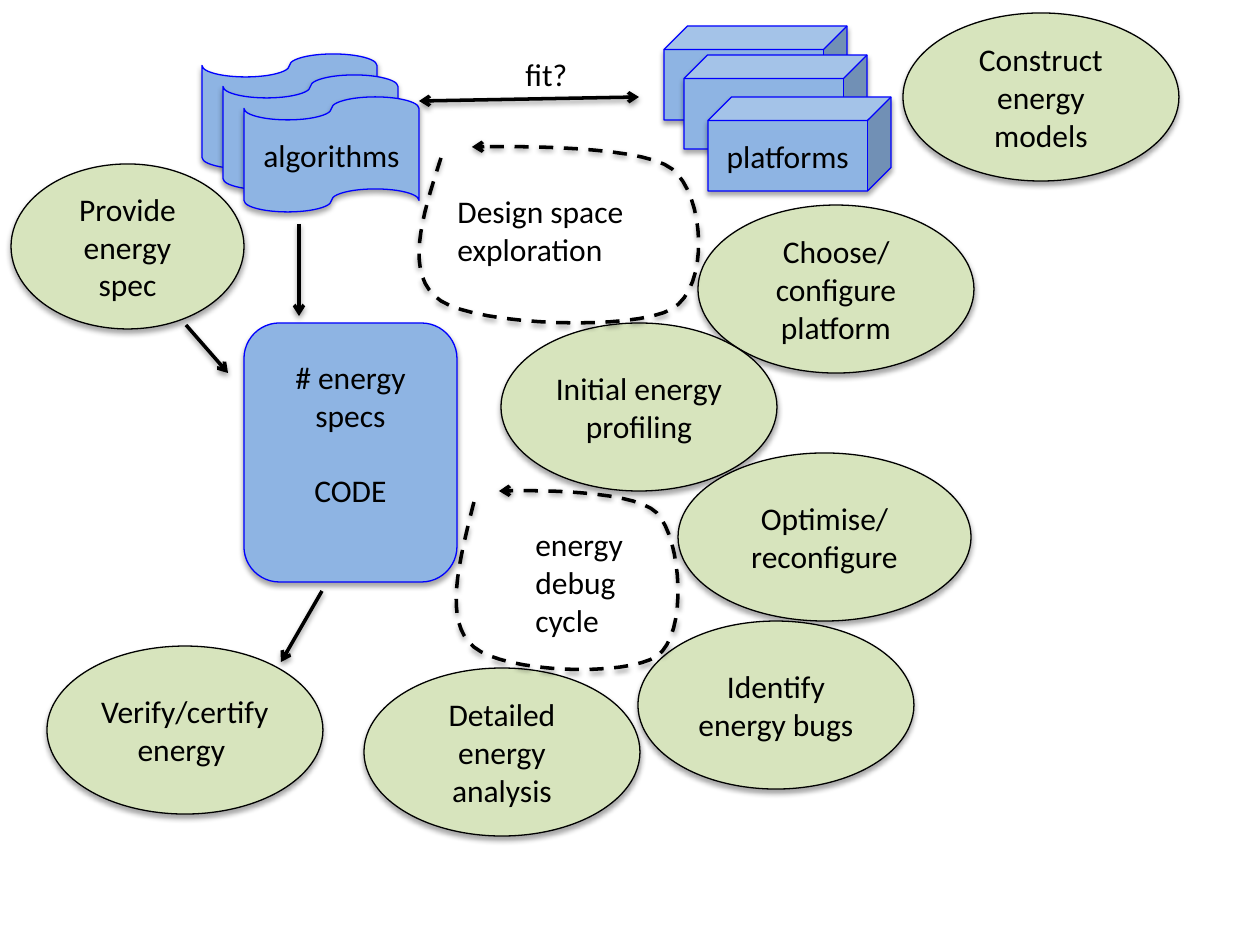
"""Build the energy-aware design flow diagram as one slide."""
from lxml import etree
from pptx import Presentation, util as u
from pptx.dml.color import RGBColor
from pptx.enum import dml, shapes, text
from pptx.oxml.ns import qn

COLORS = {"blue": "8EB4E3", "edge": "0000FF", "green": "D7E4BD", "ink": "000000"}
KIND = shapes.MSO_SHAPE
LINE_HEIGHT = 38
STACKS = [
    ("algorithms", KIND.WAVE, KIND.FLOWCHART_PUNCHED_TAPE, (175, 115), [(202, 54), (223, 75), (244, 97)]),
    ("platforms", KIND.CUBE, KIND.CUBE, (183, 94), [(664, 26), (684, 55), (708, 97)]),
]
STACKS = [(name, outline, size, spots) for name, _, outline, size, spots in STACKS]
CODE = (["# energy specs", "CODE"], (244, 323, 213, 259))
ACTIVITIES = [
    (["Construct energy models"], (903, 13, 276, 168)),
    (["Choose/configure platform"], (698, 205, 276, 168)),
    (["Provide energy spec"], (11, 164, 233, 165)),
    (["Initial energy profiling"], (501, 323, 276, 168)),
    (["Detailed energy analysis"], (364, 668, 276, 168)),
    (["Optimise/reconfigure"], (678, 453, 293, 168)),
    (["Verify/certify", "energy "], (47, 646, 276, 168)),
    (["Identify energy bugs"], (638, 621, 276, 168)),
]
ARROWS = [
    ((419, 101), (639, 97), True),
    ((299, 224), (299, 316), False),
    ((186, 325), (228, 373), False),
    ((322, 591), (281, 662), False),
]
LOOPS = [
    [(441, 158), (422, 217), (403, 276), (441, 301), (480, 326), (634, 331), (672, 309),
     (710, 287), (705, 195), (672, 169), (639, 142), (472, 147), (472, 147)],
    [(474, 502), (459, 562), (443, 622), (474, 647), (505, 673), (626, 677), (657, 656),
     (688, 634), (682, 540), (657, 513), (631, 486), (499, 491), (499, 491)],
]
LABELS = [
    (["fit?"], (513, 49, 68, 50)),
    (["Design space", "exploration"], (445, 186, 193, 89)),
    (["energy", "debug", "cycle"], (523, 519, 115, 127)),
]


def px(length):
    return u.Emu(round(length * 914400 / 126))


def write(frame, lines, align=text.PP_ALIGN.CENTER, wrap=True, anchor=text.MSO_ANCHOR.MIDDLE, gap=0):
    frame.word_wrap = wrap
    frame.vertical_anchor = anchor
    for index, line in enumerate(lines):
        paragraph = frame.paragraphs[0] if index == 0 else frame.add_paragraph()
        paragraph.alignment = align
        if index and gap:
            paragraph.space_before = px(gap)
        run = paragraph.add_run()
        run.text = line
        run.font.name, run.font.size = "Calibri", u.Pt(18)
        run.font.color.rgb = RGBColor.from_string(COLORS["ink"])


def cast_shadow(part, alpha, distance):
    properties = part._element.spPr
    for old in properties.findall(qn("a:effectLst")):
        properties.remove(old)
    effects = etree.SubElement(properties, qn("a:effectLst"))
    shadow = etree.SubElement(effects, qn("a:outerShdw"), blurRad=str(u.Pt(3.1)),
                              dist=str(u.Pt(distance)), dir="5400000", rotWithShape="0")
    color = etree.SubElement(shadow, qn("a:srgbClr"), val=COLORS["ink"])
    etree.SubElement(color, qn("a:alpha"), val=str(alpha * 1000))


def add_block(parent, outline, box, fill, edge):
    block = parent.add_shape(outline, *map(px, box))
    block.fill.solid()
    block.fill.fore_color.rgb = RGBColor.from_string(COLORS[fill])
    block.line.color.rgb = RGBColor.from_string(COLORS[edge])
    block.line.width = u.Pt(0.75)
    cast_shadow(block, 35, 1.8)
    return block


def style_arrow(arrow, both=False, dashed=False):
    arrow.line.color.rgb = RGBColor.from_string(COLORS["ink"])
    arrow.line.width = u.Pt(2)
    if dashed:
        arrow.line.dash_style = dml.MSO_LINE.DASH
    stroke = arrow._element.spPr.find(qn("a:ln"))
    for end in ["a:headEnd", "a:tailEnd"] if both else ["a:tailEnd"]:
        etree.SubElement(stroke, qn(end), type="arrow")
    cast_shadow(arrow, 38, 1.6)


def curve_points(controls, steps=16):
    for start in range(0, len(controls) - 1, 3):
        corners = controls[start:start + 4]
        for step in range(1, steps + 1):
            t = step / steps
            weights = ((1 - t) ** 3, 3 * t * (1 - t) ** 2, 3 * t * t * (1 - t), t ** 3)
            yield tuple(px(sum(w * corner[axis] for w, corner in zip(weights, corners)))
                        for axis in (0, 1))


deck = Presentation()
deck.slide_width, deck.slide_height = px(1260), px(945)
canvas = deck.slides.add_slide(deck.slide_layouts[6]).shapes

for name, outline, size, spots in STACKS:
    stack = canvas.add_group_shape().shapes
    for spot in spots:
        front = add_block(stack, outline, spot + size, "blue", "edge")
    write(front.text_frame, [name])

code_lines, code_box = CODE
code = add_block(canvas, KIND.ROUNDED_RECTANGLE, code_box, "blue", "edge")
code.text_frame.margin_bottom = px(LINE_HEIGHT + 6)
write(code.text_frame, code_lines, gap=LINE_HEIGHT)

for lines, box in ACTIVITIES:
    write(add_block(canvas, KIND.OVAL, box, "green", "ink").text_frame, lines)

for begin, end, both in ARROWS:
    style_arrow(canvas.add_connector(shapes.MSO_CONNECTOR.STRAIGHT, *map(px, begin + end)), both)

for controls in LOOPS:
    builder = canvas.build_freeform(*map(px, controls[0]))
    builder.add_line_segments(list(curve_points(controls)), close=False)
    loop = builder.convert_to_shape()
    loop.fill.background()
    style_arrow(loop, dashed=True)

for lines, box in LABELS:
    write(canvas.add_textbox(*map(px, box)).text_frame, lines, align=text.PP_ALIGN.LEFT,
          wrap=False, anchor=text.MSO_ANCHOR.TOP)

deck.save("out.pptx")
